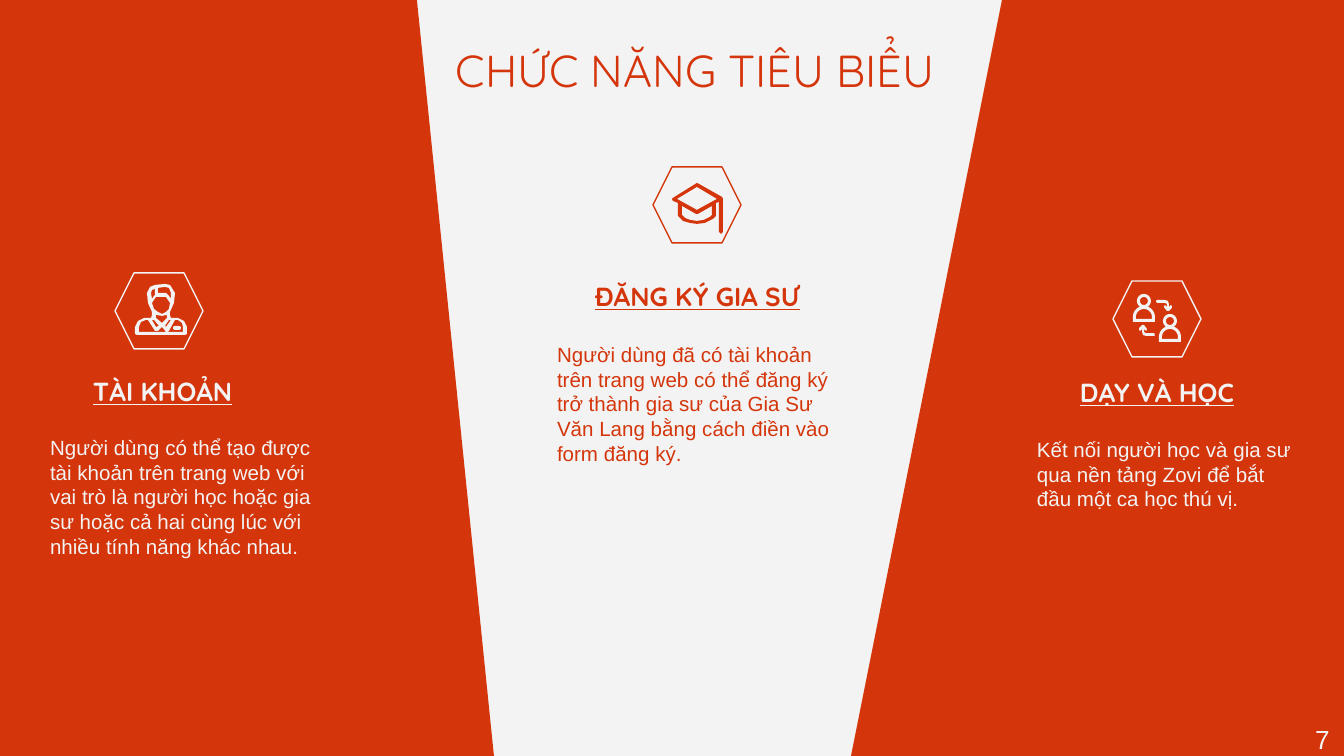
from math import cos, radians, sin

from pptx import Presentation
from pptx.dml.color import RGBColor
from pptx.enum.shapes import MSO_SHAPE
from pptx.enum.text import MSO_ANCHOR, MSO_AUTO_SIZE, PP_ALIGN
from pptx.util import Emu, Pt

PX = 914400 / 134.4
RED = RGBColor(0xD4, 0x35, 0x0B)
LIGHT = RGBColor(0xF3, 0xF3, 0xF3)
INSET = 13

USER = [
    [(30, 0), (20, 1), (15, 3), (12, 9), (13, 19), (17, 28), (17, 31), (16, 34),
     (9, 34), (3, 37), (0, 43), (0, 50), (2, 51), (50, 51), (52, 50), (52, 43),
     (49, 37), (43, 34), (36, 34), (35, 31), (35, 28), (39, 19), (40, 9), (35, 1)],
    [(20, 5), (20, 11), (19, 12), (17, 15), (16, 9), (17, 6)],
    [(30, 3), (34, 4), (36, 9), (36, 15), (34, 12), (31, 9), (23, 9), (23, 4)],
    [(31, 13), (35, 19), (34, 25), (31, 28), (27, 30), (23, 28), (19, 25),
     (17, 19), (21, 13)],
    [(21, 31), (27, 32), (32, 31), (32, 34), (27, 39), (21, 34)],
    [(19, 36), (24, 42), (21, 43), (17, 36)],
    [(34, 36), (36, 36), (31, 43), (30, 42)],
    [(43, 36), (47, 39), (48, 43), (48, 48), (32, 48), (34, 47), (40, 36)],
    [(13, 36), (20, 47), (23, 47), (27, 43), (31, 48), (4, 48), (4, 43),
     (6, 38), (11, 36)],
]
CAP = [
    [(25, 0), (1, 15), (0, 16), (1, 18), (6, 20), (6, 33), (11, 38), (18, 40),
     (25, 41), (33, 40), (41, 36), (44, 33), (44, 20), (47, 19), (47, 49),
     (49, 51), (51, 49), (51, 16), (50, 14), (27, 1)],
    [(25, 4), (45, 16), (25, 27), (5, 16)],
    [(40, 23), (40, 32), (38, 34), (32, 37), (25, 38), (18, 37), (13, 35),
     (10, 32), (10, 23), (24, 31), (26, 31)],
]
ARROW = [
    [(1, 0), (0, 1), (1, 3), (9, 3), (11, 4), (11, 7), (9, 5), (8, 7), (11, 11),
     (13, 11), (16, 8), (16, 6), (15, 5), (13, 7), (13, 4), (12, 1), (9, 0)],
]


def px(n):
    return Emu(round(n * PX))


def arc(cx, cy, radius, start, end):
    steps = 20
    angles = [radians(start + (end - start) * i / steps) for i in range(steps + 1)]
    return [(cx + radius * cos(a), cy + radius * sin(a)) for a in angles]


PERSON = [
    arc(11, 7, 7, 120, 420) + arc(11, 23, 11, -68, 0) + [(22, 28), (0, 28)]
    + arc(11, 23, 11, -180, -112),
    arc(11, 7, 4, 0, 360),
    arc(11, 23, 8, -180, 0) + [(19, 25), (3, 25)],
]


def outline(s, left, top, contours, color):
    contours = [[(px(left + x), px(top + y)) for x, y in c] for c in contours]
    builder = s.shapes.build_freeform(*contours[0][0], scale=1.0)
    builder.add_line_segments(contours[0][1:], close=True)
    for contour in contours[1:]:
        builder.move_to(*contour[0])
        builder.add_line_segments(contour[1:], close=True)
    sp = builder.convert_to_shape()
    sp.shadow.inherit = False
    sp.fill.solid()
    sp.fill.fore_color.rgb = color
    sp.line.fill.background()
    return sp


def write(sp, box, text, size, color, font="Arial", align=PP_ALIGN.LEFT,
          anchor=MSO_ANCHOR.TOP, heading=False):
    sp.left, sp.top, sp.width, sp.height = map(px, box)
    tf = sp.text_frame
    tf.word_wrap = True
    tf.auto_size = MSO_AUTO_SIZE.NONE
    tf.vertical_anchor = anchor
    tf.margin_left = tf.margin_right = tf.margin_top = tf.margin_bottom = px(INSET)
    p = tf.paragraphs[0]
    p.alignment = align
    p.space_before = Pt(0)
    r = p.add_run()
    r.text = text
    r.font.name = font
    r.font.size = Pt(size)
    r.font.color.rgb = color
    if heading:
        r.font.bold = r.font.underline = True


def text_box(s):
    return s.shapes.add_textbox(0, 0, 0, 0)


def user_icon(s, left, top, color):
    outline(s, left, top, USER, color)
    dash = s.shapes.add_shape(MSO_SHAPE.ROUNDED_RECTANGLE,
                              px(left + 38), px(top + 42), px(8), px(4))
    dash.adjustments[0] = 0.5
    dash.shadow.inherit = False
    dash.fill.solid()
    dash.fill.fore_color.rgb = color
    dash.line.fill.background()


def cap_icon(s, left, top, color):
    outline(s, left, top, CAP, color)


def exchange_icon(s, left, top, color):
    outline(s, left + 23, top + 6, ARROW, color)
    outline(s, left + 6, top + 31, ARROW, color).rotation = 180
    outline(s, left, top, PERSON, color)
    outline(s, left + 26, top + 20, PERSON, color)


def backdrop(s, width, height):
    s.background.fill.solid()
    s.background.fill.fore_color.rgb = LIGHT
    front = s.shapes.title.element
    for points in ([(417, 0), (494, height), (0, height), (0, 0)],
                   [(1002, 0), (851, height), (width, height), (width, 0)]):
        front.addprevious(outline(s, 0, 0, [points], RED).element)


def feature(s, box, hex_left, icon, icon_at, head_box, body_top, head, body,
            color, body_sp=None):
    left, top, width = box
    hexagon = s.shapes.add_shape(MSO_SHAPE.HEXAGON, px(left + hex_left), px(top),
                                 px(88), px(76))
    hexagon.shadow.inherit = False
    hexagon.fill.background()
    hexagon.line.color.rgb = color
    hexagon.line.width = Pt(0.75)
    icon(s, left + hex_left + icon_at[0], top + icon_at[1], color)
    head_left, head_top, head_width = head_box
    write(text_box(s), (left + head_left, top + head_top, head_width, 62),
          head, 14, color, "Quicksand", anchor=MSO_ANCHOR.BOTTOM, heading=True)
    write(body_sp or text_box(s), (left, top + body_top, width, 142),
          body, 11, color)


def main():
    prs = Presentation()
    prs.slide_width, prs.slide_height = px(1344), px(756)
    s = prs.slides.add_slide(prs.slide_layouts[0])
    backdrop(s, 1344, 756)
    write(s.shapes.title, (413, 30, 564, 101), "CHỨC NĂNG TIÊU BIỂU", 24, RED,
          "Quicksand", PP_ALIGN.CENTER)
    feature(s, (37, 273, 292), 78, user_icon, (20, 11), (43, 85, 202), 149,
            "TÀI KHOẢN",
            "Người dùng có thể tạo được tài khoản trên trang web với vai trò là "
            "người học hoặc gia sư hoặc cả hai cùng lúc với nhiều tính năng khác nhau.",
            LIGHT, s.placeholders[1])
    feature(s, (544, 167, 306), 109, cap_icon, (19, 16), (38, 96, 246), 162,
            "ĐĂNG KÝ GIA SƯ",
            "Người dùng đã có tài khoản trên trang web có thể đăng ký trở thành "
            "gia sư của Gia Sư Văn Lang bằng cách điền vào form đăng ký.", RED)
    feature(s, (1024, 281, 292), 89, exchange_icon, (20, 13), (43, 78, 202), 143,
            "DẠY VÀ HỌC",
            "Kết nối người học và gia sư qua nền tảng Zovi để bắt đầu một ca học "
            "thú vị.", LIGHT)
    write(text_box(s), (1301, 710, 43, 46), "7", 14, LIGHT, align=PP_ALIGN.CENTER)
    prs.save("out.pptx")


if __name__ == "__main__":
    main()
